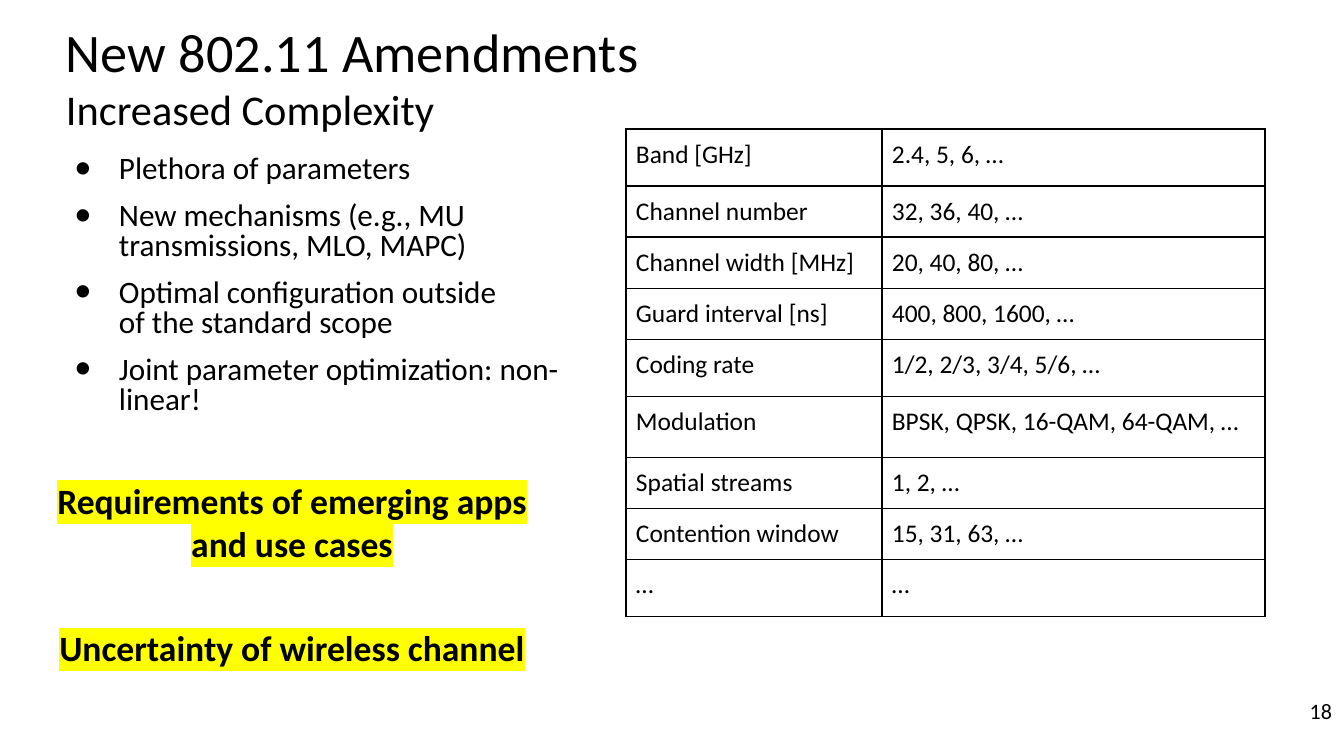
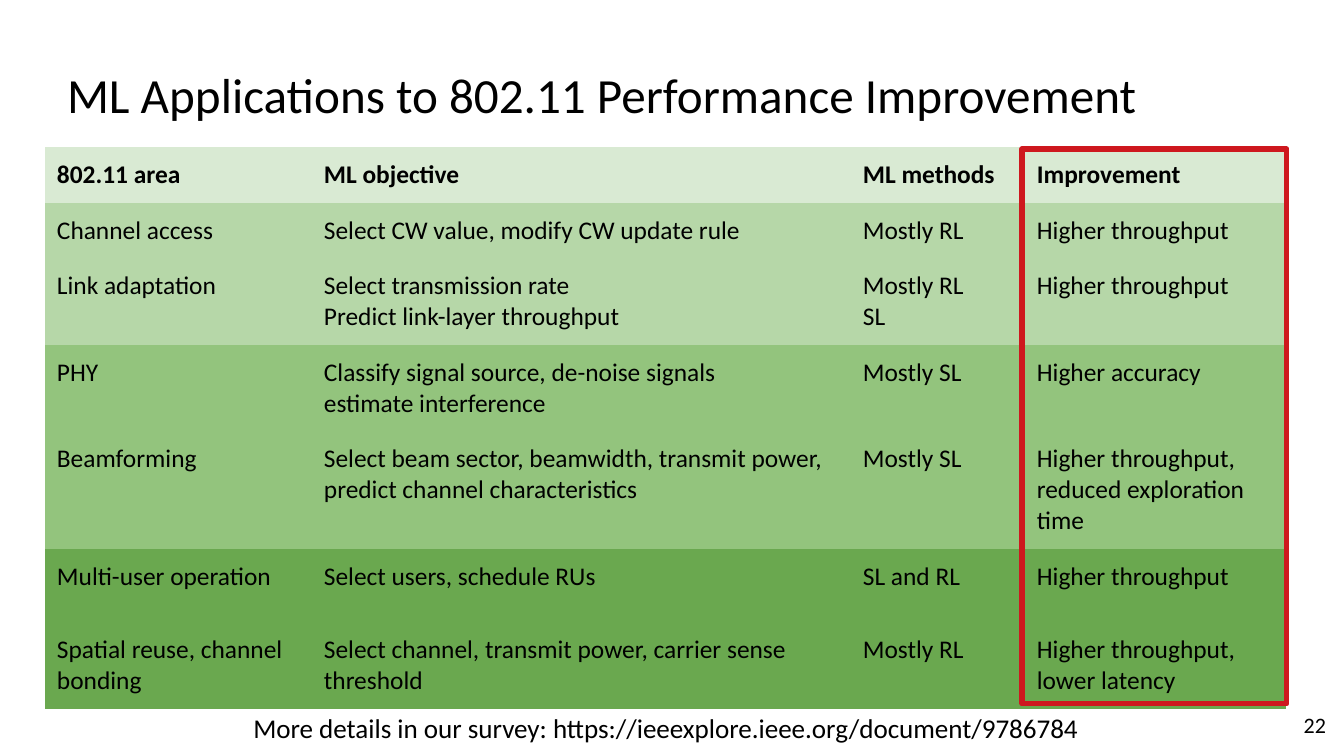
import pptx
import pptx.util
import pptx.dml.color
import pptx.enum.shapes
import pptx.enum.text
import pptx.oxml.ns
from lxml import etree

PX = 7495  # EMU, 122 px to the inch
SLIDE_W, SLIDE_H = 1344, 756
FONT = "Calibri"
COLORS = {
    "text": "000000", "rule": "000000", "mark": "FFFF00", "frame": "CE181E",
    "head": "D9EAD3", "light": "B6D7A8", "mid": "93C47D", "dark": "6AA84F",
}
NO_STYLE = "{2D5ABB26-0587-4C30-8999-92F81FD0307C}"
ALIGN = pptx.enum.text.PP_ALIGN
ANCHOR = pptx.enum.text.MSO_ANCHOR

PARAMETERS = [
    ("Band [GHz]", "2.4, 5, 6, …"),
    ("Channel number", "32, 36, 40, …"),
    ("Channel width [MHz]", "20, 40, 80, …"),
    ("Guard interval [ns]", "400, 800, 1600, …"),
    ("Coding rate", "1/2, 2/3, 3/4, 5/6, …"),
    ("Modulation", "BPSK, QPSK, 16-QAM, 64-QAM, …"),
    ("Spatial streams", "1, 2, …"),
    ("Contention window", "15, 31, 63, …"),
    ("…", "…"),
]
APPLICATIONS = [
    ("802.11 area", "ML objective", "ML methods", "Improvement"),
    ("Channel access", "Select CW value, modify CW update rule", "Mostly RL",
     "Higher throughput"),
    ("Link adaptation", "Select transmission rate\nPredict link-layer throughput",
     "Mostly RL\nSL", "Higher throughput"),
    ("PHY", "Classify signal source, de-noise signals\nestimate interference",
     "Mostly SL", "Higher accuracy"),
    ("Beamforming",
     "Select beam sector, beamwidth, transmit power, predict channel characteristics",
     "Mostly SL", "Higher throughput, reduced exploration time"),
    ("Multi-user operation", "Select users, schedule RUs", "SL and RL",
     "Higher throughput"),
    ("Spatial reuse, channel bonding",
     "Select channel, transmit power, carrier sense threshold", "Mostly RL",
     "Higher throughput, lower latency"),
]
APPLICATION_FILLS = ["head", "light", "light", "mid", "mid", "dark", "dark"]


def px(n):
    return pptx.util.Emu(n * PX)


def rgb(name):
    return pptx.dml.color.RGBColor.from_string(COLORS[name])


def sub(parent, tag, **attrs):
    return etree.SubElement(parent, pptx.oxml.ns.qn(tag), attrs)


def style(p, size, bold=False, align=ALIGN.LEFT):
    p.alignment = align
    p.font.name = FONT
    p.font.size = pptx.util.Pt(size)
    p.font.bold = bold
    p.font.color.rgb = rgb("text")


def set_frame(tf, inset_x, inset_y, anchor=ANCHOR.TOP):
    tf.word_wrap = True
    tf.auto_size = pptx.enum.text.MSO_AUTO_SIZE.NONE
    tf.vertical_anchor = anchor
    tf.margin_left = tf.margin_right = px(inset_x)
    tf.margin_top = tf.margin_bottom = px(inset_y)


def place(sp, box):
    sp.left, sp.top, sp.width, sp.height = map(px, box)


def add_title(slide, box, lines, inset_x=0, inset_y=0):
    """Fill the title placeholder with (text, size) lines."""
    sp = slide.shapes.title
    place(sp, box)
    tf = sp.text_frame
    set_frame(tf, inset_x, inset_y, ANCHOR.MIDDLE)
    tf.text = "\n".join(text for text, _ in lines)
    for p, (_, size) in zip(tf.paragraphs, lines):
        style(p, size)


def add_bullets(slide, box, items):
    sp = slide.placeholders[1]
    place(sp, box)
    tf = sp.text_frame
    set_frame(tf, 10, 5)
    for i, item in enumerate(items):
        p = tf.add_paragraph() if i else tf.paragraphs[0]
        p.text = item
        p.line_spacing = 0.8
        p.space_before = pptx.util.Pt(10 if i else 0)
        pPr = p._p.get_or_add_pPr()
        pPr.set("marL", str(px(61)))
        pPr.set("indent", str(px(-44)))
        sub(sub(pPr, "a:buClr"), "a:srgbClr", val=COLORS["text"])
        sub(pPr, "a:buSzPct", val="86000")
        sub(pPr, "a:buFont", typeface=FONT)
        sub(pPr, "a:buChar", char="●")
        style(p, 18.4)


def add_text(slide, box, text, size, align, inset=0, anchor=ANCHOR.TOP, bold=False):
    tf = slide.shapes.add_textbox(*map(px, box)).text_frame
    set_frame(tf, inset, inset, anchor)
    p = tf.paragraphs[0]
    p.text = text
    style(p, size, bold, align)
    return p


def add_marked_text(slide, box, text):
    p = add_text(slide, box, text, 21, ALIGN.CENTER, 12, ANCHOR.MIDDLE, True)
    rPr = p.runs[0]._r.get_or_add_rPr()
    sub(sub(rPr, "a:highlight"), "a:srgbClr", val=COLORS["mark"])


def add_cell_borders(cell):
    tcPr = cell._tc.get_or_add_tcPr()
    for side in ("a:lnL", "a:lnR", "a:lnT", "a:lnB"):
        ln = sub(tcPr, side, w=str(pptx.util.Pt(1)))
        sub(sub(ln, "a:solidFill"), "a:srgbClr", val=COLORS["rule"])


def add_grid(slide, left, top, widths, heights, rows, inset, fills=None):
    """Add a table: filled rows when fills are given, else ruled cells."""
    frame = slide.shapes.add_table(len(rows), len(widths), px(left), px(top),
                                   px(sum(widths)), px(sum(heights)))
    table = frame.table
    table.first_row = table.horz_banding = False
    table._tbl.tblPr.find(pptx.oxml.ns.qn("a:tableStyleId")).text = NO_STYLE
    for column, width in zip(table.columns, widths):
        column.width = px(width)
    for i, (row, height) in enumerate(zip(table.rows, heights)):
        row.height = px(height)
        for cell, text in zip(row.cells, rows[i]):
            cell.margin_left = cell.margin_right = px(inset)
            cell.margin_top = cell.margin_bottom = px(inset)
            cell.text = text
            for p in cell.text_frame.paragraphs:
                style(p, 15, bold=bool(fills) and i == 0)
            if fills:
                cell.fill.solid()
                cell.fill.fore_color.rgb = rgb(fills[i])
            else:
                add_cell_borders(cell)
                cell.fill.background()


def add_column_frame(slide, box):
    sp = slide.shapes.add_shape(pptx.enum.shapes.MSO_SHAPE.RECTANGLE, *map(px, box))
    sp.shadow.inherit = False
    sp.fill.background()
    sp.line.color.rgb = rgb("frame")
    sp.line.width = pptx.util.Pt(3)


def build_amendments(prs):
    slide = prs.slides.add_slide(prs.slide_layouts[1])
    add_title(slide, (56, 24, 1243, 105),
              [("New 802.11 Amendments", 32), ("Increased Complexity", 25)], 10, 5)
    add_text(slide, (1185, 698, 147, 36), "18", 13, ALIGN.RIGHT)
    add_bullets(slide, (48, 151, 539, 280), [
        "Plethora of parameters",
        "New mechanisms (e.g., MU transmissions, MLO, MAPC)",
        "Optimal configuration outside\vof the standard scope",
        "Joint parameter optimization: non-linear!",
    ])
    add_grid(slide, 626, 129, (256, 383), (57, 51, 51, 51, 57, 61, 51, 51, 57),
             PARAMETERS, 10)
    add_marked_text(slide, (33, 603, 518, 89), "Uncertainty of wireless channel")
    add_marked_text(slide, (40, 477, 504, 89),
                    "Requirements of emerging apps and use cases")


def build_applications(prs):
    slide = prs.slides.add_slide(prs.slide_layouts[5])
    add_title(slide, (67, 30, 1210, 127),
              [("ML Applications to 802.11 Performance Improvement", 29)])
    add_text(slide, (1258, 699, 80, 57), "22", 13, ALIGN.RIGHT, 12)
    add_grid(slide, 45, 147, (267, 539, 174, 261), (56, 55, 87, 86, 118, 73, 87),
             APPLICATIONS, 12, APPLICATION_FILLS)
    add_text(slide, (45, 699, 1242, 57),
             "More details in our survey: https://ieeexplore.ieee.org/document/9786784",
             16, ALIGN.CENTER, 12)
    add_column_frame(slide, (1022, 149, 265, 555))


def main():
    prs = pptx.Presentation()
    prs.slide_width, prs.slide_height = px(SLIDE_W), px(SLIDE_H)
    build_amendments(prs)
    build_applications(prs)
    prs.save("out.pptx")


if __name__ == "__main__":
    main()
